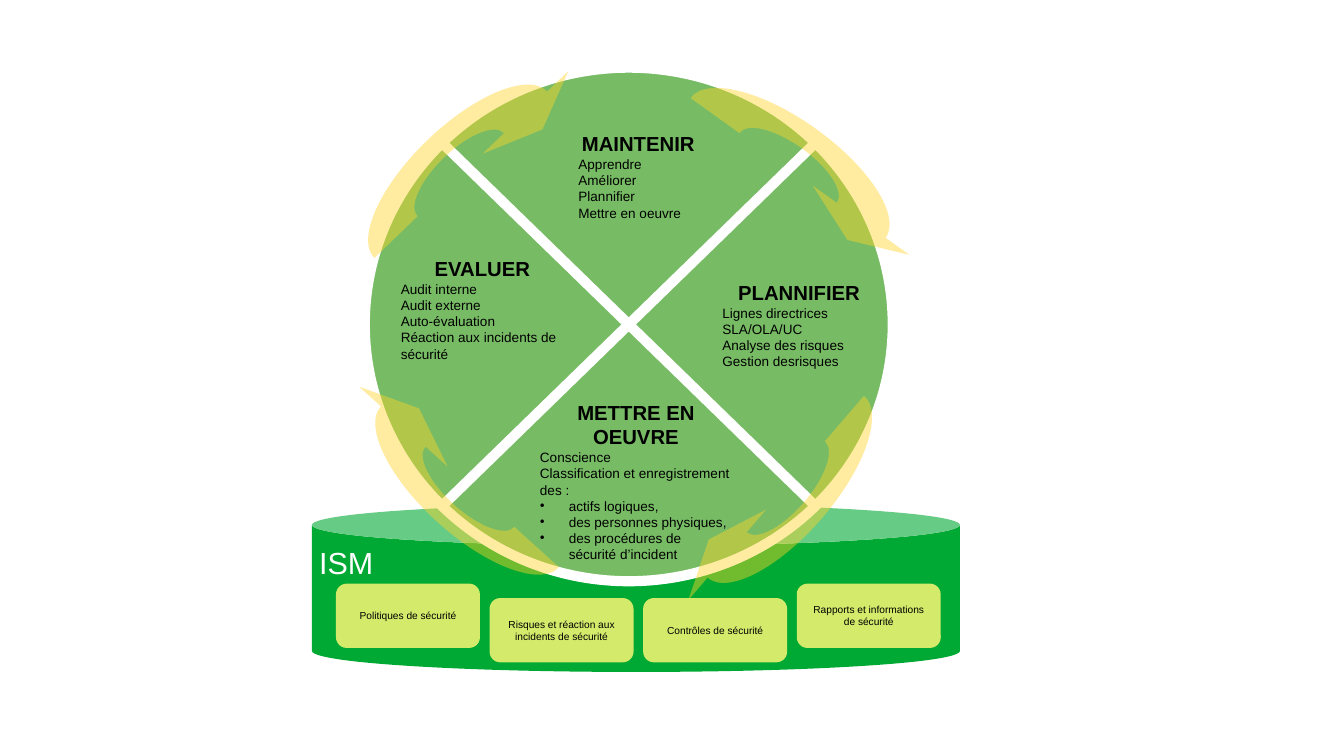
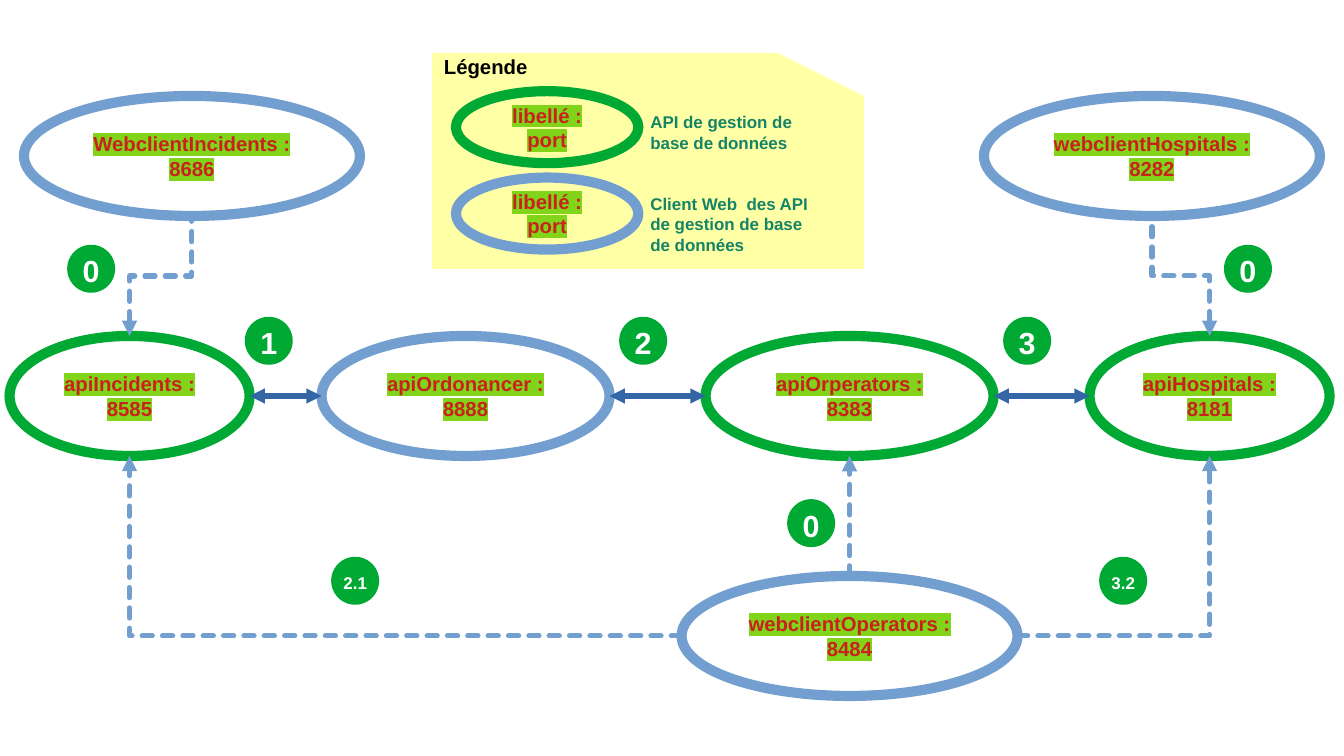
"""Build two slides: a security management cycle and a map of services."""
import lxml.etree
import pptx
import pptx.dml.color
import pptx.enum.dml
import pptx.enum.shapes
import pptx.enum.text
import pptx.oxml.ns
import pptx.util

RGB = pptx.dml.color.RGBColor
SHAPE = pptx.enum.shapes.MSO_SHAPE
ALIGN = pptx.enum.text.PP_ALIGN
qn = pptx.oxml.ns.qn

GREEN = RGB(0x00, 0xA9, 0x33)
LEAF = RGB(0x77, 0xBC, 0x65)
LIME = RGB(0xD4, 0xEA, 0x6B)
GOLD = RGB(0xFF, 0xD4, 0x28)
BLUE = RGB(0x72, 0x9F, 0xCF)
NAVY = RGB(0x34, 0x65, 0xA4)
PALE = RGB(0xFF, 0xFF, 0xA6)
TEAL = RGB(0x15, 0x84, 0x66)
RED = RGB(0xC9, 0x21, 0x1E)
HIGHLIGHT = RGB(0x81, 0xD4, 0x1A)
WHITE = RGB(0xFF, 0xFF, 0xFF)
BLACK = RGB(0x00, 0x00, 0x00)

FONT = "Arial"
COLUMNS, ROWS = 28, 15.75
CELL = pptx.util.Cm(1)
BOX_INSETS = (0.25, 0.13)
RING_INSETS = (0.36, 0.23)
SITES = {"top": 0, "left": 2, "bottom": 4, "right": 6}
ARROW_SIZE = (5, 2)
ARROW_OUTLINE = (
    ("a:moveTo", [(3.75, 1)]),
    ("a:cubicBezTo", [(3.75, 0.72), (3.19, 0.5), (2.5, 0.5)]),
    ("a:cubicBezTo", [(1.81, 0.5), (1.25, 0.72), (1.25, 1)]),
    ("a:lnTo", [(0, 1)]),
    ("a:cubicBezTo", [(0, 0.45), (1.12, 0), (2.5, 0)]),
    ("a:cubicBezTo", [(3.88, 0), (5, 0.45), (5, 1)]),
    ("a:lnTo", [(5.61, 1)]),
    ("a:lnTo", [(4.38, 1.5)]),
    ("a:lnTo", [(3.13, 1)]),
    ("a:close", []),
)


def grid(*counts):
    """Turn counts of columns or rows into lengths."""
    return [round(count * CELL) for count in counts]


def add_xml(parent, tag, **attributes):
    """Append a child element with the given attributes."""
    return lxml.etree.SubElement(parent, qn(tag), attributes)


def paint(shape, fill=None, line=None, width=6):
    """Set fill and outline, and drop the shadow."""
    shape.shadow.inherit = False
    if fill is None:
        shape.fill.background()
    else:
        shape.fill.solid()
        shape.fill.fore_color.rgb = fill
    if line is None:
        shape.line.fill.background()
    else:
        shape.line.color.rgb = line
        shape.line.width = pptx.util.Pt(width)


def add_figure(page, kind, place, fill=None, line=None):
    """Add a painted preset shape on the grid."""
    figure = page.shapes.add_shape(kind, *grid(*place))
    paint(figure, fill, line)
    return figure


def style(para, size, color, bold=False, align=ALIGN.LEFT):
    """Format a paragraph and its runs."""
    para.alignment = align
    for span in para.runs:
        span.font.size = pptx.util.Pt(size)
        span.font.name = FONT
        span.font.bold = bold
        span.font.color.rgb = color


def set_frame(frame, insets):
    """Wrap the text and set the margins."""
    frame.word_wrap = True
    frame.margin_left = frame.margin_right = grid(insets[0])[0]
    frame.margin_top = frame.margin_bottom = grid(insets[1])[0]


def write_label(shape, text, size, color, bold=False, insets=BOX_INSETS):
    """Write centred text inside a shape."""
    frame = shape.text_frame
    set_frame(frame, insets)
    frame.vertical_anchor = pptx.enum.text.MSO_ANCHOR.MIDDLE
    frame.text = text
    style(frame.paragraphs[0], size, color, bold, ALIGN.CENTER)


def add_text(page, place, text, size, color, bold=False):
    """Add a text box that grows with its text."""
    box = page.shapes.add_textbox(*grid(*place))
    frame = box.text_frame
    set_frame(frame, BOX_INSETS)
    frame.auto_size = pptx.enum.text.MSO_AUTO_SIZE.SHAPE_TO_FIT_TEXT
    frame.text = text
    style(frame.paragraphs[0], size, color, bold)
    return box


def add_bullet(para):
    """Give a paragraph a small round bullet and a hanging indent."""
    indent = grid(0.6)[0]
    props = para._p.get_or_add_pPr()
    props.set("marL", str(indent))
    props.set("indent", str(-indent))
    add_xml(add_xml(props, "a:buClr"), "a:srgbClr", val=str(BLACK))
    add_xml(props, "a:buSzPct", val="45000")
    add_xml(props, "a:buChar", char="●")


def add_phase(page, place, title, lines, bullets=()):
    """Add one phase of the cycle: a heading, lines and bullets."""
    frame = add_text(page, place, title, 12, BLACK, True).text_frame
    frame.paragraphs[0].alignment = ALIGN.CENTER
    for index, line in enumerate([*lines, *bullets]):
        para = frame.add_paragraph()
        para.text = line
        style(para, 8, BLACK)
        if index >= len(lines):
            add_bullet(para)


def add_turn_arrow(page, left, top, angle):
    """Add a translucent curved arrow turned about its centre."""
    width, height = grid(*ARROW_SIZE)
    builder = page.shapes.build_freeform(0, 0)
    builder.add_line_segments([(width, 0), (width, height), (0, height)])
    arrow = builder.convert_to_shape(*grid(left, top))
    outline = next(arrow.element.iter(qn("a:path")))
    for step in list(outline):
        outline.remove(step)
    for tag, points in ARROW_OUTLINE:
        step = add_xml(outline, tag)
        for point in points:
            x, y = grid(*point)
            add_xml(step, "a:pt", x=str(x), y=str(y))
    arrow.rotation = angle
    paint(arrow, GOLD)
    color = arrow.element.spPr.find(qn("a:solidFill")).find(qn("a:srgbClr"))
    add_xml(color, "a:alpha", val="44000")


def add_ring(page, place, text, line):
    """Add an outlined ellipse with a highlighted label."""
    ring = add_figure(page, SHAPE.OVAL, place, line=line)
    write_label(ring, text, 12, RED, True, RING_INSETS)
    for span in ring.text_frame.paragraphs[0].runs:
        mark = lxml.etree.Element(qn("a:highlight"))
        add_xml(mark, "a:srgbClr", val=str(HIGHLIGHT))
        span.font._element.find(qn("a:solidFill")).addnext(mark)
    return ring


def add_badge(page, left, top, text, size=18):
    """Add a numbered green disc."""
    badge = add_figure(page, SHAPE.OVAL, (left, top, 1, 1), GREEN)
    write_label(badge, text, size, WHITE, True, (0, 0))
    badge.text_frame.word_wrap = False
    badge.text_frame.margin_top = grid(0.08)[0]


def anchor(shape, side):
    """Return the middle of a side of a shape."""
    across = {"left": 0, "right": 1}.get(side, 0.5)
    down = {"top": 0, "bottom": 1}.get(side, 0.5)
    return (round(shape.left + across * shape.width),
            round(shape.top + down * shape.height))


def turn_upright(link, start, end):
    """Make an elbow leave its start upwards instead of sideways."""
    run, rise = abs(end[0] - start[0]), abs(end[1] - start[1])
    link.left = (start[0] + end[0] - rise) // 2
    link.top = (start[1] + end[1] - run) // 2
    link.width, link.height = rise, run
    frame = link.element.spPr.find(qn("a:xfrm"))
    frame.set("rot", "16200000")
    frame.set("flipH", "0")
    frame.set("flipV", str(int(end[0] < start[0])))


def add_link(page, begin, finish, color, ends, preset="line", dashed=False):
    """Join two (shape, side) pairs with a line and arrowheads."""
    kinds = pptx.enum.shapes.MSO_CONNECTOR
    start, end = anchor(*begin), anchor(*finish)
    kind = kinds.STRAIGHT if preset == "line" else kinds.ELBOW
    link = page.shapes.add_connector(kind, *start, *end)
    link.element.spPr.find(qn("a:prstGeom")).set("prst", preset)
    if preset == "bentConnector3":
        turn_upright(link, start, end)
    joints = link.element.find(qn("p:nvCxnSpPr")).find(qn("p:cNvCxnSpPr"))
    for tag, (shape, side) in (("a:stCxn", begin), ("a:endCxn", finish)):
        add_xml(joints, tag, id=str(shape.shape_id), idx=str(SITES[side]))
    link.line.color.rgb = color
    link.line.width = pptx.util.Pt(3)
    outline = link.element.spPr.find(qn("a:ln"))
    if dashed:
        link.line.dash_style = pptx.enum.dml.MSO_LINE.SQUARE_DOT
        outline.set("cap", "rnd")
    for end_tag in ends:
        add_xml(outline, end_tag, type="triangle")
    add_xml(link.element.spPr, "a:effectLst")


def build_cycle(page):
    """Draw the management cycle on its base."""
    add_figure(page, SHAPE.CAN, (6.5, 10.5, 13.5, 3.5), GREEN)
    add_figure(page, SHAPE.FLOWCHART_SUMMING_JUNCTION,
               (7.6, 1.41, 11, 10.7), LEAF, WHITE)
    for left, top, angle in ((7.1, 2.64, 316.1), (13.92, 2.5, 35.6),
                             (13.87, 9.14, 130.7), (7.29, 9.14, 222.1)):
        add_turn_arrow(page, left, top, angle)
    add_phase(page, (11.8, 2.61, 3, 2.4), "MAINTENIR",
              ["Apprendre", "Améliorer", "Plannifier", "Mettre en oeuvre"])
    add_phase(page, (14.8, 5.71, 3.7, 2.46), "PLANNIFIER",
              ["Lignes directrices", "SLA/OLA/UC", "Analyse des risques",
               "Gestion desrisques"])
    add_phase(page, (11, 8.21, 4.5, 4.06), "METTRE EN OEUVRE",
              ["Conscience", "Classification et enregistrement des :"],
              ["actifs logiques,", "des personnes physiques,",
               "des procédures de sécurité d’incident"])
    add_phase(page, (8.1, 5.21, 3.9, 2.64), "EVALUER",
              ["Audit interne", "Audit externe", "Auto-évaluation",
               "Réaction aux incidents de sécurité"])
    add_text(page, (6.4, 11.2, 2, 0.97), "ISM", 18, WHITE)
    pillars = ["Politiques de sécurité",
               "Risques et réaction aux incidents de sécurité",
               "Contrôles de sécurité", "Rapports et informations de sécurité"]
    for index, text in enumerate(pillars):
        top = 12.46 if index in (1, 2) else 12.16
        pillar = add_figure(page, SHAPE.ROUNDED_RECTANGLE,
                            (7 + 3.2 * index, top, 3, 1.34), LIME)
        write_label(pillar, text, 6, BLACK)


def build_legend(page):
    """Draw the legend of the service map."""
    card = add_figure(page, SHAPE.FLOWCHART_CARD, (9, 1.1, 9, 4.5), PALE)
    card.element.spPr.find(qn("a:xfrm")).set("flipH", "1")
    add_text(page, (9, 1, 6, 0.74), "Légende", 12, BLACK, True)
    for top, color, text_top, height, text in (
            (1.9, GREEN, 2.2, 1.04, "API de gestion de base de données"),
            (3.7, BLUE, 3.9, 1.42,
             "Client Web  des API de gestion de base de données")):
        add_ring(page, (9.5, top, 3.8, 1.5), "libellé : port", color)
        add_text(page, (13.3, text_top, 4, height), text, 10, TEAL, True)


def build_services(page):
    """Draw the services and the calls between them."""
    build_legend(page)
    apis = [add_ring(page, (left, 7, width, 2.5), text, color)
            for left, width, text, color in (
                (0.2, 5, "apiIncidents : 8585", GREEN),
                (6.7, 6, "apiOrdonancer : 8888", BLUE),
                (14.7, 6, "apiOrperators : 8383", GREEN),
                (22.7, 5, "apiHospitals : 8181", GREEN))]
    incidents, hospitals, operators = [
        add_ring(page, (left, top, 7, 2.5), text, BLUE)
        for left, top, text in ((0.5, 2, "WebclientIncidents :\v8686"),
                                (20.5, 2, "webclientHospitals : 8282"),
                                (14.2, 12, "webclientOperators : 8484"))]
    for near, far in zip(apis, apis[1:]):
        add_link(page, (near, "right"), (far, "left"), NAVY,
                 ["a:headEnd", "a:tailEnd"])
    for api, client in ((apis[0], incidents), (apis[3], hospitals)):
        add_link(page, (api, "top"), (client, "bottom"), BLUE,
                 ["a:headEnd"], "bentConnector3", True)
    for side, api, preset in (("left", apis[0], "bentConnector2"),
                              ("top", apis[2], "line"),
                              ("right", apis[3], "bentConnector2")):
        add_link(page, (operators, side), (api, "bottom"), BLUE,
                 ["a:tailEnd"], preset, True)
    for left, top, text in ((5.1, 6.6, "1"), (12.9, 6.6, "2"), (20.9, 6.6, "3"),
                            (1.4, 5.1, "0"), (25.5, 5.1, "0"), (16.4, 10.4, "0")):
        add_badge(page, left, top, text)
    for left, text in ((6.9, "2.1"), (22.9, "3.2")):
        add_badge(page, left, 11.6, text, 10)


def main():
    """Build the deck and save it."""
    deck = pptx.Presentation()
    deck.slide_width, deck.slide_height = grid(COLUMNS, ROWS)
    for build in (build_cycle, build_services):
        build(deck.slides.add_slide(deck.slide_layouts[6]))
    deck.save("out.pptx")


if __name__ == "__main__":
    main()
